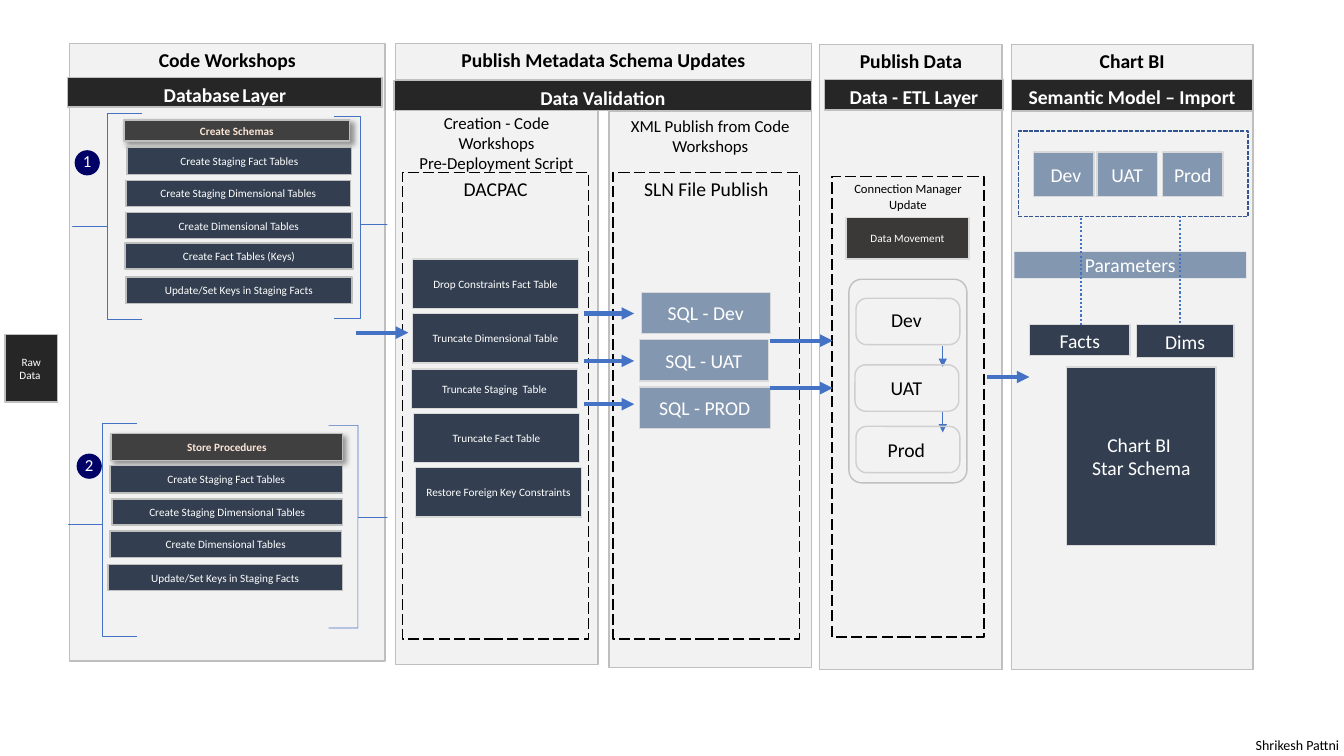
import dataclasses

import lxml.etree
import pptx
import pptx.dml.color
import pptx.enum.dml
import pptx.enum.shapes
import pptx.enum.text
import pptx.oxml.ns
import pptx.util

PX = 9144  # EMU per px, 100 px to the inch
SHAPES = pptx.enum.shapes.MSO_SHAPE
ALIGN = pptx.enum.text.PP_ALIGN
ANCHOR = pptx.enum.text.MSO_ANCHOR
DASH = pptx.enum.dml.MSO_LINE


@dataclasses.dataclass(frozen=True)
class Theme:
    font: str = "Calibri"
    title: int = 14
    body: int = 12
    credit: int = 10
    note: int = 9
    small: int = 8
    black: str = "000000"
    white: str = "FFFFFF"
    panel: str = "D9D9D9"
    bar: str = "262626"
    step: str = "333F50"
    target: str = "8497B0"
    heading: str = "404040"
    heading_text: str = "FBE5D6"
    movement: str = "3B3838"
    badge: str = "000066"
    edge: str = "BFBFBF"
    light_edge: str = "D9D9D9"
    stage_edge: str = "D0CECE"
    frame_edge: str = "C0C0C0"
    flow: str = "4472C4"
    workspace_edge: str = "325491"


THEME = Theme()


def rgb(value):
    return pptx.dml.color.RGBColor.from_string(value)


def sub_element(parent, tag, **attributes):
    return lxml.etree.SubElement(parent, pptx.oxml.ns.qn(tag), attributes)


def write_text(shape, text, size, color, bold=False, align=ALIGN.CENTER,
               anchor=ANCHOR.MIDDLE, wrap=True):
    """Text is a string, or a list of (text, size, bold) runs for one line."""
    frame = shape.text_frame
    frame.word_wrap = wrap
    frame.vertical_anchor = anchor
    lines = ([[(line, size, bold)] for line in text.split("\n")]
             if isinstance(text, str) else [text])
    for index, runs in enumerate(lines):
        paragraph = frame.add_paragraph() if index else frame.paragraphs[0]
        paragraph.alignment = align
        for content, run_size, run_bold in runs:
            run = paragraph.add_run()
            run.text = content
            run.font.name = THEME.font
            run.font.size = pptx.util.Pt(run_size)
            run.font.bold = run_bold
            run.font.color.rgb = rgb(color)


def add_box(slide, place, fill=None, edge=None, width=1, dash=None,
            kind=SHAPES.RECTANGLE, adjust=()):
    shape = slide.shapes.add_shape(kind, *(value * PX for value in place))
    shape.shadow.inherit = False
    for index, value in enumerate(adjust):
        shape.adjustments[index] = value
    if fill:
        shape.fill.solid()
        shape.fill.fore_color.rgb = rgb(fill)
    else:
        shape.fill.background()
    if edge:
        shape.line.color.rgb = rgb(edge)
        shape.line.width = pptx.util.Pt(width)
        if dash:
            shape.line.dash_style = dash
    else:
        shape.line.fill.background()
    return shape


def add_panel(slide, place, text, size, bold=False):
    shape = add_box(slide, place, THEME.panel, THEME.edge)
    color = shape.element.spPr.find(".//" + pptx.oxml.ns.qn("a:srgbClr"))
    sub_element(color, "a:alpha", val="34000")
    write_text(shape, text, size, THEME.black, bold, anchor=ANCHOR.TOP)


def add_bar(slide, place, text):
    shape = add_box(slide, place, THEME.bar, THEME.edge)
    write_text(shape, text, THEME.title, THEME.white, True, anchor=ANCHOR.TOP)


def add_block(slide, place, text, fill=THEME.step, edge=THEME.light_edge, size=THEME.small):
    write_text(add_box(slide, place, fill, edge), text, size, THEME.white)


def add_heading(slide, place, text):
    shape = add_box(slide, place, THEME.heading, THEME.edge)
    write_text(shape, text, THEME.small, THEME.heading_text, True)
    effects = shape.element.spPr.find(pptx.oxml.ns.qn("a:effectLst"))
    shadow = sub_element(effects, "a:outerShdw", blurRad="50800", dist="38100",
                         dir="2700000", algn="tl", rotWithShape="0")
    sub_element(sub_element(shadow, "a:srgbClr", val=THEME.black), "a:alpha", val="40000")


def add_dashed_frame(slide, place, text, size):
    shape = add_box(slide, place, edge=THEME.black, dash=DASH.LONG_DASH)
    write_text(shape, text, size, THEME.black, anchor=ANCHOR.TOP)


def add_bracket(slide, place, tick, opens_right=False):
    shape = add_box(slide, place, edge=THEME.flow, width=0.5,
                    kind=SHAPES.RIGHT_BRACE, adjust=(0, tick))
    shape.rotation = 180 if opens_right else 0


def add_label(slide, place, text, size, color=THEME.black, **options):
    box = slide.shapes.add_textbox(*(value * PX for value in place))
    write_text(box, text, size, color, **options)


def add_badge(slide, left, top, text):
    add_box(slide, (left, top, 25, 25), THEME.badge, kind=SHAPES.OVAL)
    add_label(slide, (left - 2, top - 4, 29, 30), text, THEME.body, THEME.white,
              anchor=ANCHOR.TOP, wrap=False)


def add_line(slide, start, end, width, dash=None, arrow=True):
    line = slide.shapes.add_connector(pptx.enum.shapes.MSO_CONNECTOR.STRAIGHT,
                                      *(value * PX for value in start + end))
    line.line.color.rgb = rgb(THEME.flow)
    line.line.width = pptx.util.Pt(width)
    if dash:
        line.line.dash_style = dash
    if arrow:
        sub_element(line.line._get_or_add_ln(), "a:tailEnd", type="triangle")
    sub_element(line.element.spPr, "a:effectLst")


def add_columns(slide):
    for place, text, size, bold in (
            ((392, 107, 201, 552), "Creation - Code Workshops\nPre-Deployment Script", THEME.body, False),
            ((604, 110, 201, 552), "XML Publish from Code Workshops", THEME.body, False),
            ((69, 43, 313, 613), "Code Workshops", THEME.title, True),
            ((392, 43, 413, 36), "Publish Metadata Schema Updates", THEME.title, True),
            ((813, 44, 181, 620), "Publish Data", THEME.title, True),
            ((1003, 44, 240, 620), "Chart BI", THEME.title, True)):
        add_panel(slide, place, text, size, bold)
    database = [("Database", THEME.title, True), (" ", THEME.small, False),
                ("Layer", THEME.title, True)]
    for place, text in (((67, 77, 312, 29), database),
                        ((391, 80, 414, 30), "Data Validation"),
                        ((818, 79, 177, 30), "Data - ETL Layer"),
                        ((1003, 79, 240, 31), "Semantic Model – Import")):
        add_bar(slide, place, text)


def add_database_layer(slide):
    add_block(slide, (5, 332, 52, 67), "Raw Data ", THEME.bar, THEME.edge)
    add_heading(slide, (123, 119, 224, 21), "Create Schemas")
    add_heading(slide, (110, 430, 230, 27), "Store Procedures")
    fact, dimensional = "Create Staging Fact Tables", "Create Staging Dimensional Tables"
    tables, keys = "Create Dimensional Tables", "Update/Set Keys in Staging Facts"
    for left, top, width, height, text in (
            (126, 146, 223, 27, fact), (125, 179, 223, 26, dimensional),
            (125, 211, 224, 26, tables), (124, 241, 226, 26, "Create Fact Tables (Keys)"),
            (125, 275, 224, 26, keys),
            (109, 462, 231, 27, fact), (111, 495, 229, 26, dimensional),
            (109, 527, 230, 26, tables), (107, 560, 233, 26, keys)):
        add_block(slide, (left, top, width, height), text, edge=THEME.edge)
    add_bracket(slide, (72, 112, 69, 205), 0.452, opens_right=True)
    add_bracket(slide, (331, 115, 53, 201), 0.533)
    add_bracket(slide, (68, 420, 68, 211), 0.524, opens_right=True)
    add_bracket(slide, (326, 422, 58, 201), 0.455)
    add_badge(slide, 74, 149, "1")
    add_badge(slide, 76, 450, "2")


def add_validation(slide):
    for left, top, height, text in (
            (409, 257, 49, "Drop Constraints Fact Table"),
            (409, 311, 49, "Truncate Dimensional Table"),
            (408, 366, 39, "Truncate Staging  Table"),
            (410, 410, 49, "Truncate Fact Table"),
            (412, 464, 49, "Restore Foreign Key Constraints")):
        add_block(slide, (left, top, 165, height), text)
    for row, (left, width, name) in enumerate(
            ((636, 128, "Dev"), (634, 128, "UAT"), (634, 130, "PROD"))):
        add_block(slide, (left, 290 + 47 * row, width, 41), "SQL - " + name,
                  THEME.target, size=THEME.title)
    add_dashed_frame(slide, (399, 171, 185, 463), "DACPAC", THEME.title)
    add_dashed_frame(slide, (608, 171, 185, 463), "SLN File Publish", THEME.title)


def add_data_movement(slide):
    add_dashed_frame(slide, (825, 175, 151, 457), "Connection Manager Update", THEME.note)
    add_block(slide, (839, 216, 122, 41), "Data Movement", THEME.movement)
    for top in (343, 408):
        add_line(slide, (935, top), (935, top + 21), 0.5)
    for left, top, label_top, name in ((849, 296, 302, "Dev"), (848, 362, 370, "UAT"),
                                       (849, 423, 431, "Prod")):
        add_box(slide, (left, top, 103, 46), edge=THEME.stage_edge,
                kind=SHAPES.ROUNDED_RECTANGLE, adjust=(0.231,))
        add_label(slide, (867, label_top, 64, 30), name, THEME.title)
    add_box(slide, (842, 277, 117, 202), edge=THEME.frame_edge,
            kind=SHAPES.ROUNDED_RECTANGLE, adjust=(0.107,))


def add_semantic_model(slide):
    add_box(slide, (1010, 130, 228, 85), edge=THEME.workspace_edge, dash=DASH.SQUARE_DOT)
    for left, name in ((1025, " Dev"), (1088, "UAT"), (1153, "Prod")):
        add_block(slide, (left, 151, 60, 44), name, THEME.target, size=THEME.title)
    add_block(slide, (1006, 250, 230, 26), "Parameters", THEME.target, None, THEME.title)
    for place, text in (((1021, 322, 100, 31), "Facts"), ((1127, 322, 97, 33), "Dims"),
                        ((1058, 364, 148, 177), "Chart BI \nStar Schema")):
        add_block(slide, place, text, size=THEME.title)
    for left, top in ((1170, 214), (1072, 216)):
        add_line(slide, (left, top), (left, top + 107), 1.5, DASH.ROUND_DOT, arrow=False)


def add_flow_arrows(slide):
    for start, end, rows in ((353, 405, (330,)), (579, 629, (311, 358, 401)),
                             (764, 826, (338, 385)), (979, 1021, (374,))):
        for row in rows:
            add_line(slide, (start, row), (end, row), 3)


def main():
    presentation = pptx.Presentation()
    presentation.slide_width = 1333 * PX
    presentation.slide_height = 750 * PX
    slide = presentation.slides.add_slide(presentation.slide_layouts[6])
    # Column backgrounds and title bars
    add_columns(slide)
    # Column contents, left to right
    add_database_layer(slide)
    add_validation(slide)
    add_data_movement(slide)
    add_semantic_model(slide)
    # Flow between columns, and the author
    add_flow_arrows(slide)
    add_label(slide, (1202, 726, 136, 27), "Shrikesh Pattni", THEME.credit,
              align=ALIGN.RIGHT, anchor=ANCHOR.TOP)
    presentation.save("out.pptx")


if __name__ == "__main__":
    main()
